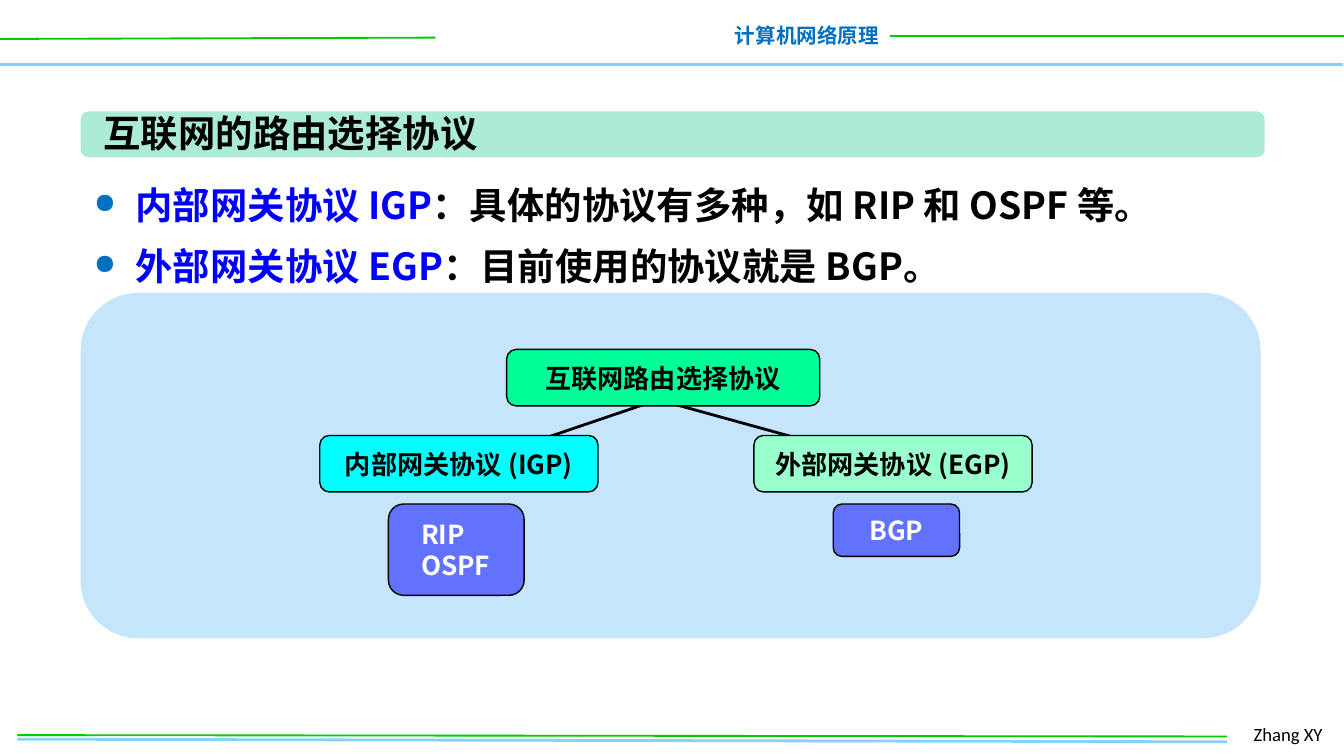
from lxml import etree
from pptx import Presentation
from pptx.dml.color import RGBColor
from pptx.enum.shapes import MSO_CONNECTOR, MSO_SHAPE
from pptx.enum.text import MSO_ANCHOR, PP_ALIGN
from pptx.oxml.ns import qn
from pptx.util import Inches, Pt

LINE = MSO_CONNECTOR.STRAIGHT
ROUNDED = MSO_SHAPE.ROUNDED_RECTANGLE
TOP, MIDDLE = MSO_ANCHOR.TOP, MSO_ANCHOR.MIDDLE
LEFT, CENTER, RIGHT = PP_ALIGN.LEFT, PP_ALIGN.CENTER, PP_ALIGN.RIGHT

CJK = "Noto Sans CJK SC"
BLACK, WHITE, BLUE, ACCENT = "000000", "FFFFFF", "0000FF", "0070C0"
GREEN, SKY = "00CC00", "85D1F7"


def rgb(color):
    return RGBColor.from_string(color)


def style_run(r, size, color, bold=True, font=CJK):
    r.font.size = Pt(size)
    r.font.bold = bold
    r.font.color.rgb = rgb(color)
    r.font.name = font
    etree.SubElement(r.font._element, qn("a:ea"), typeface=font)


def write(sp, text, size, color, align=LEFT, anchor=TOP, wrap=False, **style):
    tf = sp.text_frame
    tf.text = text
    tf.word_wrap = wrap
    tf.vertical_anchor = anchor
    for p in tf.paragraphs:
        p.alignment = align
        for r in p.runs:
            style_run(r, size, color, **style)


def place(sp, box):
    sp.left, sp.top, sp.width, sp.height = map(Inches, box)


def add_line(s, start, end, color, width):
    line = s.shapes.add_connector(LINE, *map(Inches, start + end))
    line.line.color.rgb = rgb(color)
    line.line.width = Pt(width)
    etree.SubElement(line._element.spPr, qn("a:effectLst"))


def add_label(s, box, text, size, color, **style):
    sp = s.shapes.add_textbox(*map(Inches, box))
    write(sp, text, size, color, **style)


def add_panel(s, box, fill, radius=0.167):
    sp = s.shapes.add_shape(ROUNDED, *map(Inches, box))
    sp.adjustments[0] = radius
    sp.shadow.inherit = False
    sp.fill.solid()
    sp.fill.fore_color.rgb = rgb(fill)
    sp.line.fill.background()
    return sp


def add_node(s, box, text, fill, color=BLACK, align=CENTER, opacity=100, inset=0.1):
    sp = add_panel(s, box, fill)
    sp.line.color.rgb = rgb(BLACK)
    sp.line.width = Pt(0.75)
    if opacity < 100:
        clr = sp._element.spPr.find(qn("a:solidFill"))[0]
        etree.SubElement(clr, qn("a:alpha"), val=str(opacity * 1000))
    write(sp, text, 14, color, align, MIDDLE)
    sp.text_frame.margin_left = Inches(inset)


def add_bullets(s, box, items):
    tf = s.shapes.add_textbox(*map(Inches, box)).text_frame
    tf.word_wrap = True
    for i, (term, detail) in enumerate(items):
        p = tf.add_paragraph() if i else tf.paragraphs[0]
        pPr = p._p.get_or_add_pPr()
        pPr.set("marL", str(Inches(0.31)))
        pPr.set("indent", str(-Inches(0.31)))
        clr = etree.SubElement(pPr, qn("a:buClr"))
        etree.SubElement(clr, qn("a:srgbClr"), val=ACCENT)
        etree.SubElement(pPr, qn("a:buSzPct"), val="75000")
        etree.SubElement(pPr, qn("a:buChar"), char="●")
        p.line_spacing = Pt(33)
        for text, color in ((term, BLUE), (detail, BLACK)):
            r = p.add_run()
            r.text = text
            style_run(r, 20, color)


def add_frame(s):
    add_line(s, (-0.01, 0.48), (9.99, 0.48), SKY, 2)
    add_line(s, (0, 0.29), (3.24, 0.28), GREEN, 1)
    add_label(s, (5.36, 0.12, 1.28, 0.29), "计算机网络原理", 11, ACCENT, align=RIGHT)
    add_line(s, (6.62, 0.27), (10.01, 0.27), GREEN, 1)
    add_line(s, (0.13, 5.5), (9.13, 5.52), SKY, 1.5)
    add_label(s, (9.23, 5.33, 0.74, 0.27), "Zhang XY", 10, BLACK,
              wrap=True, bold=False, font="Calibri")
    add_line(s, (0.13, 5.47), (9.13, 5.48), GREEN, 1)


def add_title(s, text):
    bar = add_panel(s, (0.6, 0.83, 8.81, 0.34), "ABEBD7")
    title = s.shapes.title
    place(title, (0.67, 0.77, 3.01, 0.44))
    write(title, text, 20, BLACK)
    bar._element.addnext(title._element)


def add_tree(s):
    add_line(s, (4.82, 3), (3.82, 3.34), BLACK, 1.5)
    add_line(s, (4.99, 3), (6.22, 3.34), BLACK, 1.5)
    add_node(s, (2.89, 3.75, 1.01, 0.68), "RIP\nOSPF", BLUE, WHITE, LEFT, 50, 0.21)
    add_node(s, (3.77, 2.6, 2.33, 0.42), "互联网路由选择协议", "00FF99")
    add_node(s, (6.2, 3.75, 0.94, 0.39), "BGP", BLUE, WHITE, opacity=50)
    add_node(s, (5.61, 3.24, 2.07, 0.42), "外部网关协议 (EGP)", "99FFCC")
    add_node(s, (2.38, 3.24, 2.07, 0.42), "内部网关协议 (IGP)", "00FFFF")


def main():
    prs = Presentation()
    prs.slide_width, prs.slide_height = Inches(10), Inches(10 * 9 / 16)
    s = prs.slides.add_slide(prs.slide_layouts[5])
    add_frame(s)
    add_panel(s, (0.6, 2.18, 8.78, 2.57), "C5E5FB")
    add_title(s, "互联网的路由选择协议")
    add_bullets(s, (0.6, 1.18, 8.78, 1.03), [
        ("内部网关协议 IGP", "：具体的协议有多种，如 RIP 和 OSPF 等。"),
        ("外部网关协议 EGP", "：目前使用的协议就是 BGP。"),
    ])
    add_tree(s)
    prs.save("out.pptx")


if __name__ == "__main__":
    main()
